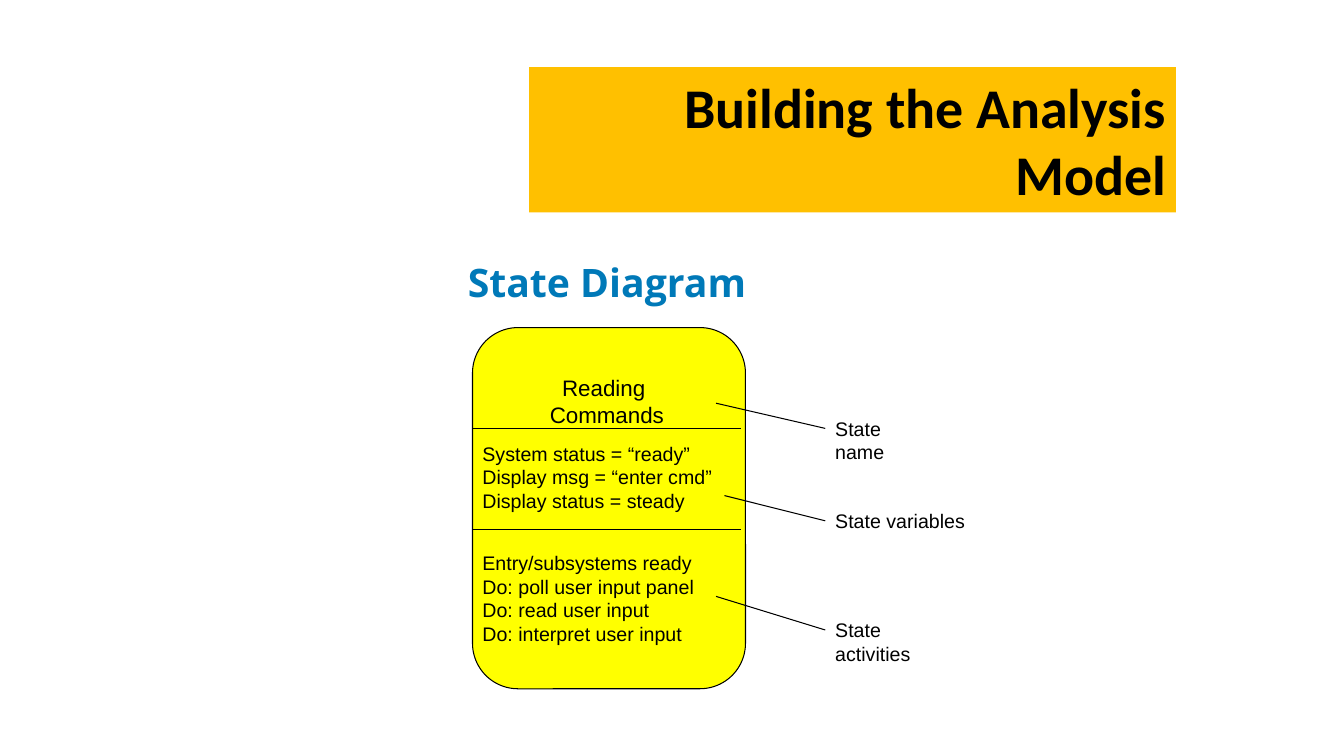
from pptx import Presentation
from pptx.dml.color import RGBColor
from pptx.enum.shapes import MSO_CONNECTOR, MSO_SHAPE
from pptx.enum.text import MSO_ANCHOR, PP_ALIGN
from pptx.oxml.ns import qn
from pptx.util import Inches, Pt
from lxml import etree

LEFT, CENTER, RIGHT = PP_ALIGN.LEFT, PP_ALIGN.CENTER, PP_ALIGN.RIGHT
TOP, MIDDLE = MSO_ANCHOR.TOP, MSO_ANCHOR.MIDDLE
STRAIGHT = MSO_CONNECTOR.STRAIGHT
RECTANGLE, ROUNDED = MSO_SHAPE.RECTANGLE, MSO_SHAPE.ROUNDED_RECTANGLE

THEME = {
    "ink": RGBColor(0, 0, 0),
    "banner": RGBColor(0xFF, 0xC0, 0x00),
    "state": RGBColor(0xFF, 0xFF, 0x00),
    "heading": RGBColor(0x00, 0x79, 0xB8),
    "title_type": ("Calibri", 40, True),
    "heading_type": ("Open Sans", 28, True),
    "name_type": ("Arial", 16, False),
    "body_type": ("Arial", 14, False),
    "line": Pt(0.75),
}

prs = Presentation()
prs.slide_width, prs.slide_height = Inches(13.34), Inches(7.5)
slide = prs.slides.add_slide(prs.slide_layouts[6])
shapes = slide.shapes

# Grid: 160 columns by 90 rows
COL, ROW = prs.slide_width / 160, prs.slide_height / 90


def write(box, lines, type_key, color="ink", align=LEFT, anchor=TOP, wrap=True):
    frame = box.text_frame
    frame.word_wrap = wrap
    frame.vertical_anchor = anchor
    font_name, size, bold = THEME[type_key]
    for index, line in enumerate(lines):
        paragraph = frame.paragraphs[0] if index == 0 else frame.add_paragraph()
        paragraph.alignment = align
        run = paragraph.add_run()
        run.text = line
        run.font.name, run.font.size, run.font.bold = font_name, Pt(size), bold
        run.font.color.rgb = THEME[color]


def draw_line(x1, y1, x2, y2):
    line = shapes.add_connector(STRAIGHT, int(x1 * COL), int(y1 * ROW),
                                int(x2 * COL), int(y2 * ROW))
    line.line.color.rgb = THEME["ink"]
    line.line.width = THEME["line"]
    etree.SubElement(line._element.spPr, qn("a:effectLst"))


# Title banner
banner = shapes.add_shape(RECTANGLE, int(63 * COL), int(8 * ROW),
                          int(77 * COL), int(17.3 * ROW))
banner.shadow.inherit = False
banner.fill.solid()
banner.fill.fore_color.rgb = THEME["banner"]
banner.line.fill.background()
write(banner, ["Building the Analysis Model"], "title_type", align=RIGHT)

# Heading
heading = shapes.add_textbox(int(43.75 * COL), int(29 * ROW), int(57 * COL), int(9 * ROW))
write(heading, ["State Diagram"], "heading_type", "heading", CENTER, MIDDLE)

# State box with its two dividers
STATE_LEFT, STATE_TOP, STATE_WIDTH, STATE_HEIGHT = 56.25, 39, 32.5, 43
state = shapes.add_shape(ROUNDED, int(STATE_LEFT * COL), int(STATE_TOP * ROW),
                         int(STATE_WIDTH * COL), int(STATE_HEIGHT * ROW))
state.adjustments[0] = 1 / 6
state.shadow.inherit = False
state.fill.solid()
state.fill.fore_color.rgb = THEME["state"]
state.line.color.rgb = THEME["ink"]
state.line.width = THEME["line"]
for divider in (STATE_TOP + 12, STATE_TOP + 24):
    draw_line(STATE_LEFT, divider, STATE_LEFT + STATE_WIDTH - 0.5, divider)

# Compartments: column, row, width, height, type, alignment, lines
compartments = [
    (64.25, 44, 16, 7.7, "name_type", CENTER, ["Reading ", "Commands"]),
    (STATE_LEFT, 52, 31, 9.6, "body_type", LEFT,
     ["System status = “ready”", "Display msg = “enter cmd”",
      "Display status = steady"]),
    (STATE_LEFT, 65, 31, 15.25, "body_type", LEFT,
     ["Entry/subsystems ready", "Do: poll user input panel",
      "Do: read user input", "Do: interpret user input"]),
]
for col, row, width, height, type_key, align, lines in compartments:
    compartment = shapes.add_textbox(int(col * COL), int(row * ROW),
                                     int(width * COL), int(height * ROW))
    write(compartment, lines, type_key, align=align)

# Callouts: label, width, leader row at the label, leader end inside the state
CALLOUT_LEFT = 98.25
callouts = [
    ("State name", 14.25, 51, 85.25, 48),
    ("State variables", 17.85, 62, 86.25, 59),
    ("State activities", 17.4, 75, 85.25, 71),
]
for label, width, row, end_col, end_row in callouts:
    callout = shapes.add_textbox(int(CALLOUT_LEFT * COL), int((row - 2) * ROW),
                                 int(width * COL), int(4 * ROW))
    write(callout, [label], "body_type", wrap=False)
    draw_line(CALLOUT_LEFT, row, end_col, end_row)

prs.save("out.pptx")
